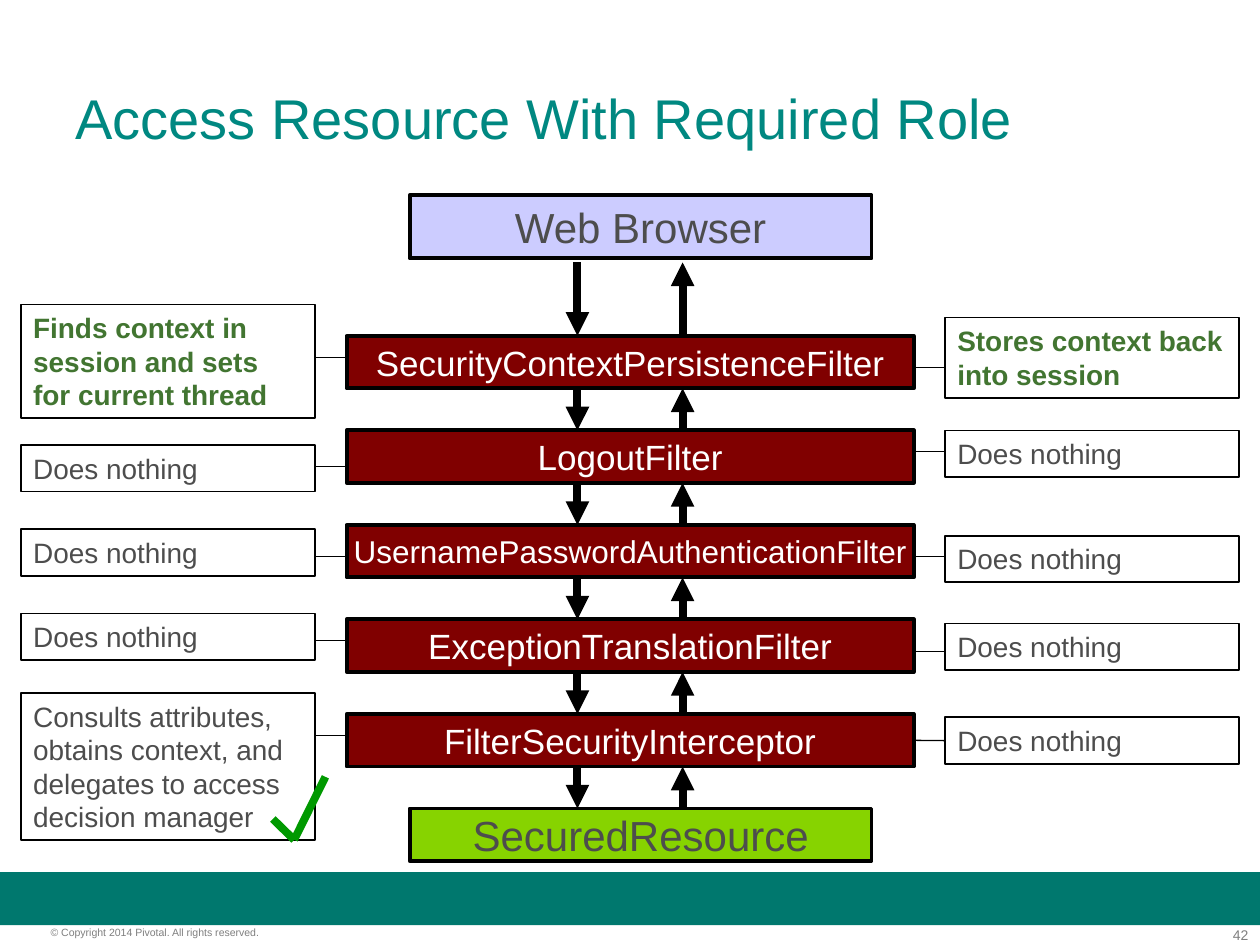
from dataclasses import dataclass

from lxml import etree
from pptx import Presentation
from pptx import util as u
from pptx.dml.color import RGBColor
from pptx.enum import shapes, text
from pptx.oxml.ns import qn


@dataclass(frozen=True)
class Theme:
    font: str = "Arial"
    title: str = "008881"
    band: str = "00786E"
    muted: str = "7F7F7F"
    body: str = "4D4D4D"
    emphasis: str = "427531"
    ink: str = "000000"
    paper: str = "FFFFFF"
    browser: str = "CCCCFF"
    chain: str = "800000"
    resource: str = "87D300"
    check: str = "009900"
    title_size: float = 32
    endpoint_size: float = 24
    filter_size: float = 20
    long_filter_size: float = 18
    callout_size: float = 16
    number_size: float = 8
    copyright_size: float = 6
    heavy: float = 4.5
    border: float = 2.25
    callout_border: float = 1
    thin: float = 0.75


THEME = Theme()
CENTER = text.PP_ALIGN.CENTER
LEFT = text.PP_ALIGN.LEFT
MIDDLE = text.MSO_ANCHOR.MIDDLE
TOP = text.MSO_ANCHOR.TOP

FIRST_TOP, RESOURCE_TOP, BOX_HEIGHT = 6.77, 16.3, 1.06
CHAIN_LEFT, CHAIN_WIDTH = 6.99, 11.43
ENDPOINT_LEFT, ENDPOINT_WIDTH = 8.26, 9.31
REQUEST_X, RESPONSE_X = 11.64, 13.76
CALLOUT_WIDTH, LEFT_CALLOUT, RIGHT_CALLOUT = 5.93, 0.42, 19.05
ONE_LINE = 0.94
JOIN_TOLERANCE = 0.04

FILTERS = [
    ("SecurityContextPersistenceFilter", THEME.filter_size),
    ("LogoutFilter", THEME.filter_size),
    ("UsernamePasswordAuthenticationFilter", THEME.long_filter_size),
    ("ExceptionTranslationFilter", THEME.filter_size),
    ("FilterSecurityInterceptor", THEME.filter_size),
]
IDLE = "Does nothing"
REQUEST_CALLOUTS = [
    ("Finds context in session and sets for current thread", 6.14, 2.29, 7.2),
    (IDLE, 8.97, ONE_LINE, 9.4),
    (IDLE, 10.67, ONE_LINE, 11.22),
    (IDLE, 12.37, ONE_LINE, 12.91),
    ("Consults attributes, obtains context, and delegates to access decision manager",
     13.97, 2.97, 14.82),
]
RESPONSE_CALLOUTS = [
    ("Stores context back into session", 6.4, 1.63, 7.41),
    (IDLE, 8.68, ONE_LINE, 9.1),
    (IDLE, 10.8, ONE_LINE, 11.22),
    (IDLE, 12.57, ONE_LINE, 13.13),
    (IDLE, 14.46, ONE_LINE, 14.92),
]


def write(shape, words, size, color, align=LEFT, anchor=TOP, wrap=True, bold=False):
    frame = shape.text_frame
    frame.word_wrap = wrap
    frame.vertical_anchor = anchor
    paragraph = frame.paragraphs[0]
    paragraph.text = words
    paragraph.alignment = align
    paragraph.font.name = THEME.font
    paragraph.font.size = u.Pt(size)
    paragraph.font.bold = bold
    paragraph.font.color.rgb = RGBColor.from_string(color)


def add_label(slide, bounds, words, size, color, align=LEFT, anchor=TOP, inset=True):
    shape = slide.shapes.add_textbox(*map(u.Cm, bounds))
    write(shape, words, size, color, align, anchor)
    if not inset:
        frame = shape.text_frame
        frame.margin_left = frame.margin_right = 0
        frame.margin_top = frame.margin_bottom = 0


def add_box(slide, bounds, fill, border=None):
    shape = slide.shapes.add_shape(shapes.MSO_SHAPE.RECTANGLE, *map(u.Cm, bounds))
    shape.shadow.inherit = False
    shape.fill.solid()
    shape.fill.fore_color.rgb = RGBColor.from_string(fill)
    if border is None:
        shape.line.fill.background()
    else:
        shape.line.color.rgb = RGBColor.from_string(THEME.ink)
        shape.line.width = u.Pt(border)
    return shape


def add_line(slide, start, end, width, color=THEME.ink, arrow=False):
    connector = slide.shapes.add_connector(
        shapes.MSO_CONNECTOR.STRAIGHT, *map(u.Cm, (*start, *end)))
    connector.line.color.rgb = RGBColor.from_string(color)
    connector.line.width = u.Pt(width)
    if arrow:
        line = connector.line._get_or_add_ln()
        etree.SubElement(line, qn("a:tailEnd"), type="triangle")
    etree.SubElement(connector._element.spPr, qn("a:effectLst"))
    return connector


def add_callout(slide, left, callout, filter_box):
    words, top, height, line_y = callout
    shape = add_box(slide, (left, top, CALLOUT_WIDTH, height), THEME.paper,
                    THEME.callout_border)
    idle_color = THEME.body
    bold = filter_box.top == u.Cm(FIRST_TOP)
    write(shape, words, THEME.callout_size, THEME.emphasis if bold else idle_color,
          bold=bold)

    on_left = left < CHAIN_LEFT
    callout_edge = left + CALLOUT_WIDTH if on_left else left
    filter_edge = CHAIN_LEFT if on_left else CHAIN_LEFT + CHAIN_WIDTH
    callout_middle = top + height / 2
    joins_callout = abs(callout_middle - line_y) < JOIN_TOLERANCE
    y = callout_middle if joins_callout else line_y
    connector = add_line(slide, (callout_edge, y), (filter_edge, y), THEME.thin)
    if joins_callout:
        connector.begin_connect(shape, 3 if on_left else 1)
    filter_middle = (filter_box.top + filter_box.height / 2) / u.Cm(1)
    if abs(filter_middle - y) < JOIN_TOLERANCE:
        connector.end_connect(filter_box, 1 if on_left else 3)


def add_chain(slide):
    browser = add_box(slide, (ENDPOINT_LEFT, 3.94, ENDPOINT_WIDTH, 1.27),
                      THEME.browser, THEME.border)
    write(browser, "Web Browser", THEME.endpoint_size, THEME.body, CENTER, MIDDLE)
    resource = add_box(slide, (ENDPOINT_LEFT, RESOURCE_TOP, ENDPOINT_WIDTH, BOX_HEIGHT),
                       THEME.resource, THEME.border)
    write(resource, "SecuredResource", THEME.endpoint_size, THEME.body, CENTER, MIDDLE,
          wrap=False)

    step = (RESOURCE_TOP - FIRST_TOP) / len(FILTERS)
    tops = [FIRST_TOP + step * row for row in range(len(FILTERS))]
    filter_boxes = []
    for (name, size), top in zip(FILTERS, tops):
        box = add_box(slide, (CHAIN_LEFT, top, CHAIN_WIDTH, BOX_HEIGHT),
                      THEME.chain, THEME.border)
        write(box, name, size, THEME.paper, CENTER, MIDDLE, wrap=False)
        filter_boxes.append(box)

    gap_tops = [5.29] + [top + BOX_HEIGHT for top in tops]
    for upper, lower in zip(gap_tops, tops + [RESOURCE_TOP]):
        add_line(slide, (REQUEST_X, upper), (REQUEST_X, lower), THEME.heavy, arrow=True)
        add_line(slide, (RESPONSE_X, lower), (RESPONSE_X, upper), THEME.heavy, arrow=True)
    return filter_boxes


def add_check_mark(slide):
    corner = (5.93, 16.93)
    add_line(slide, (5.5, 16.51), corner, THEME.heavy, THEME.check)
    add_line(slide, corner, (6.56, 15.66), THEME.heavy, THEME.check)


def main():
    presentation = Presentation()
    presentation.slide_width, presentation.slide_height = u.Cm(25.4), u.Cm(19.05)
    slide = presentation.slides.add_slide(presentation.slide_layouts[6])

    add_box(slide, (0, 17.58, 25.4, 1.07), THEME.band)
    add_label(slide, (23.7, 18.67, 1.47, 0.33), "42", THEME.number_size, THEME.muted,
              text.PP_ALIGN.RIGHT, inset=False)
    add_label(slide, (1.02, 18.67, 6.32, 0.25),
              "© Copyright 2014 Pivotal. All rights reserved.",
              THEME.copyright_size, THEME.muted, inset=False)
    add_label(slide, (1.27, 1.55, 22.86, 1.63), "Access Resource With Required Role",
              THEME.title_size, THEME.title, anchor=MIDDLE)

    filter_boxes = add_chain(slide)
    for left, callouts in ((LEFT_CALLOUT, REQUEST_CALLOUTS),
                           (RIGHT_CALLOUT, RESPONSE_CALLOUTS)):
        for callout, filter_box in zip(callouts, filter_boxes):
            add_callout(slide, left, callout, filter_box)
    add_check_mark(slide)
    presentation.save("out.pptx")


if __name__ == "__main__":
    main()
